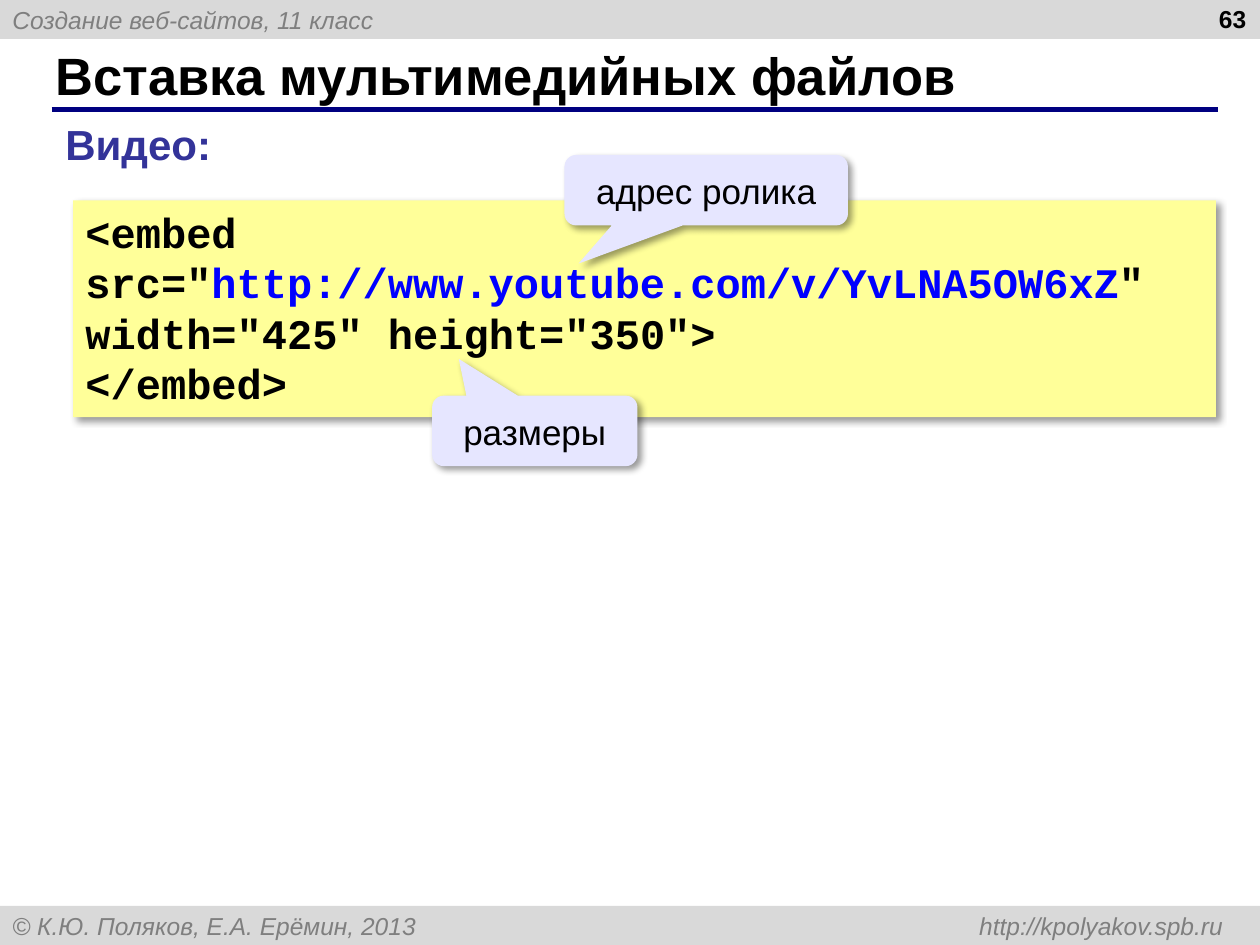
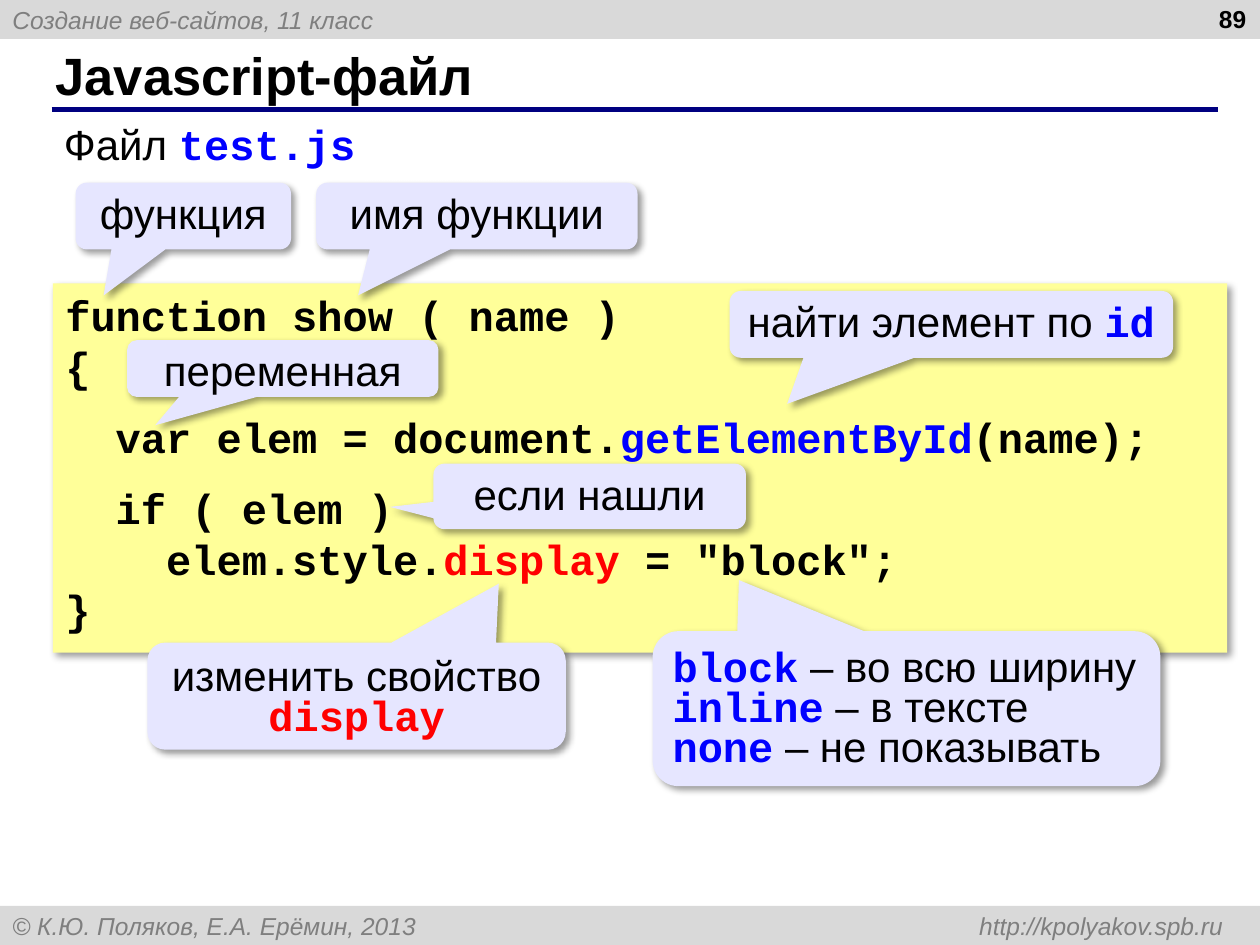
import dataclasses
import typing

import lxml.etree
import pptx
import pptx.dml.color
import pptx.enum.shapes
import pptx.enum.text
import pptx.oxml.ns
import pptx.util

SCALE = 9144
WIDE, HIGH = 1000, 750
BAND = 31

BLACK, GRAY, SILVER = "000000", "7F7F7F", "D9D9D9"
NAVY, VIOLET, BLUE, RED = "000080", "333399", "0000FF", "FF0000"
CREAM, LILAC = "FFFF99", "E6E6FF"
SANS, MONO = "Arial", "Courier New"

FORM = pptx.enum.shapes.MSO_SHAPE
SIDE = pptx.enum.text.PP_ALIGN
HOLD = pptx.enum.text.MSO_ANCHOR


class Box(typing.NamedTuple):
    left: int
    top: int
    width: int
    height: int


class Run(typing.NamedTuple):
    text: str
    tint: str | None = None
    face: str | None = None
    bold: bool | None = None


@dataclasses.dataclass
class Line:
    runs: list[Run]
    before: int = 0


@dataclasses.dataclass
class Note:
    box: Box
    tip: tuple[float, float]
    lines: list[Line]
    size: int = 24
    space: float | None = 0.8
    align: SIDE = SIDE.CENTER


def px(count: int) -> pptx.util.Emu:
    return pptx.util.Emu(count * SCALE)


def place(box: Box) -> list[pptx.util.Emu]:
    return [px(side) for side in box]


def paint(hue: str) -> pptx.dml.color.RGBColor:
    return pptx.dml.color.RGBColor.from_string(hue)


def line(*parts: str | Run, before: int = 0) -> Line:
    return Line([Run(part) if isinstance(part, str) else part for part in parts], before)


def term(text: str, tint: str = BLUE) -> Run:
    return Run(text, tint, MONO, True)


def add(parent, tag: str, **attrs: str):
    return lxml.etree.SubElement(parent, pptx.oxml.ns.qn(tag), attrs)


def write(shape, lines: list[Line], *, size: int, tint: str = BLACK, face: str = SANS,
          bold: bool = False, slant: bool = False, align: SIDE = SIDE.LEFT,
          anchor: HOLD = HOLD.TOP, space: float | None = None, wrap: bool = True,
          pads: tuple[int, int, int, int] = (10, 5, 10, 5), tab: int | None = None) -> None:
    frame = shape.text_frame
    frame.word_wrap = wrap
    frame.vertical_anchor = anchor
    (frame.margin_left, frame.margin_top,
     frame.margin_right, frame.margin_bottom) = [px(pad) for pad in pads]
    for index, item in enumerate(lines):
        para = frame.add_paragraph() if index else frame.paragraphs[0]
        if tab is not None:
            stops = add(para._p.get_or_add_pPr(), "a:tabLst")
            add(stops, "a:tab", pos=str(px(tab)), algn="r")
        para.alignment = align
        if space is not None:
            para.line_spacing = space
        if item.before:
            para.space_before = pptx.util.Pt(item.before)
        for part in item.runs:
            run = para.add_run()
            run.text = part.text
            font = run.font
            font.size = pptx.util.Pt(size)
            font.name = part.face or face
            font.bold = bold if part.bold is None else part.bold
            font.italic = slant
            font.color.rgb = paint(part.tint or tint)


def block(slide, form: FORM, box: Box, fill: str, shade: bool = True):
    shape = slide.shapes.add_shape(form, *place(box))
    shape.fill.solid()
    shape.fill.fore_color.rgb = paint(fill)
    shape.line.fill.background()
    shape.shadow.inherit = False
    if shade:
        glow = shape._element.spPr.find(pptx.oxml.ns.qn("a:effectLst"))
        cast = add(glow, "a:outerShdw", blurRad=str(pptx.util.Pt(4)),
                   dist=str(pptx.util.Pt(3)), dir="2700000", algn="tl", rotWithShape="0")
        add(add(cast, "a:srgbClr", val=BLACK), "a:alpha", val="40000")
    return shape


def label(slide, box: Box, *parts: str | Run, **form) -> None:
    shape = slide.shapes.add_textbox(*place(box))
    write(shape, [line(*parts)], **form)


def band(slide, top: int, text: str, tab: int | None = None) -> None:
    shape = block(slide, FORM.RECTANGLE, Box(0, top, WIDE, BAND), SILVER, shade=False)
    write(shape, [line(text)], size=14, tint=GRAY, slant=True, anchor=HOLD.MIDDLE, tab=tab)


def rule(slide) -> None:
    link = slide.shapes.add_connector(
        pptx.enum.shapes.MSO_CONNECTOR.STRAIGHT, px(41), px(87), px(967), px(87))
    link.line.color.rgb = paint(NAVY)
    link.line.width = pptx.util.Pt(3)
    add(link._element.spPr, "a:effectLst")


def start(deck, title: str, page: int):
    slide = deck.slides.add_slide(deck.slide_layouts[5])
    band(slide, 0, "Создание веб-сайтов, 11 класс")
    band(slide, HIGH - BAND, "© К.Ю. Поляков, Е.А. Ерёмин, 2013 \thttp://kpolyakov.spb.ru", tab=961)
    rule(slide)
    head = slide.shapes.title
    head.left, head.top, head.width, head.height = place(Box(34, 33, 916, 52))
    write(head, [line(title)], size=30, bold=True, anchor=HOLD.MIDDLE)
    label(slide, Box(766, -2, 233, 52), str(page), size=14, bold=True, align=SIDE.RIGHT)
    return slide


def code(slide, box: Box, lines: list[Line], right: int = 10) -> None:
    shape = block(slide, FORM.RECTANGLE, box, CREAM)
    write(shape, lines, size=24, face=MONO, bold=True, pads=(10, 5, right, 5))


def remark(slide, note: Note) -> None:
    shape = block(slide, FORM.ROUNDED_RECTANGULAR_CALLOUT, note.box, LILAC)
    for index, value in enumerate((*note.tip, 0.167)):
        shape.adjustments[index] = value
    write(shape, note.lines, size=note.size, space=note.space, align=note.align,
          pads=(10, 9, 10, 5))


def video(deck) -> None:
    slide = start(deck, "Вставка мультимедийных файлов", 63)
    code(slide, Box(58, 159, 907, 172), [
        line('<embed src="', Run("http://www.youtube.com/v/YvLNA5OW6xZ", BLUE), '"'),
        line('width="425" height="350">'),
        line("</embed>"),
    ])
    label(slide, Box(42, 89, 137, 51), "Видео:", size=24, tint=VIOLET, bold=True, wrap=False)
    for note in (
        Note(Box(448, 123, 225, 56), (-0.45, 1.04), [line("адрес ролика")], 20, None),
        Note(Box(343, 314, 163, 56), (-0.37, -1.02), [line("размеры")], 20, None),
    ):
        remark(slide, note)


def script(deck) -> None:
    slide = start(deck, "Javascript-файл", 89)
    label(slide, Box(41, 89, 274, 51), "Файл ", term("test.js"), size=24, wrap=False)
    code(slide, Box(42, 225, 932, 293), [
        line("function show ( name )"),
        line("{"),
        line("  var elem = document.", Run("getElementById", BLUE), "(name);", before=12),
        line("  if ( elem )", before=12),
        line("    elem.style.", Run("display", RED), ' = "block";'),
        line("}"),
    ], right=0)
    below = (-0.37, 1.19)
    values = [
        line(term("block"), " – во всю ширину"),
        line(term("inline"), " – в тексте"),
        line(term("none"), " – не показывать"),
    ]
    for note in (
        Note(Box(579, 231, 352, 53), below, [line("найти элемент по ", term("id"))]),
        Note(Box(60, 145, 171, 53), below, [line("функция")]),
        Note(Box(251, 145, 255, 53), below, [line("имя функции")]),
        Note(Box(101, 270, 247, 45), (-0.41, 1.0), [line("переменная")]),
        Note(Box(344, 368, 248, 52), (-0.64, 0.16), [line("если нашли")]),
        Note(Box(117, 510, 332, 85), (0.34, -1.05),
             [line("изменить свойство ", term("display", RED))]),
        Note(Box(518, 501, 403, 123), (-0.33, -0.83), values, align=SIDE.LEFT),
    ):
        remark(slide, note)


def main() -> None:
    deck = pptx.Presentation()
    deck.slide_width, deck.slide_height = px(WIDE), px(HIGH)
    video(deck)
    script(deck)
    deck.save("out.pptx")


if __name__ == "__main__":
    main()
